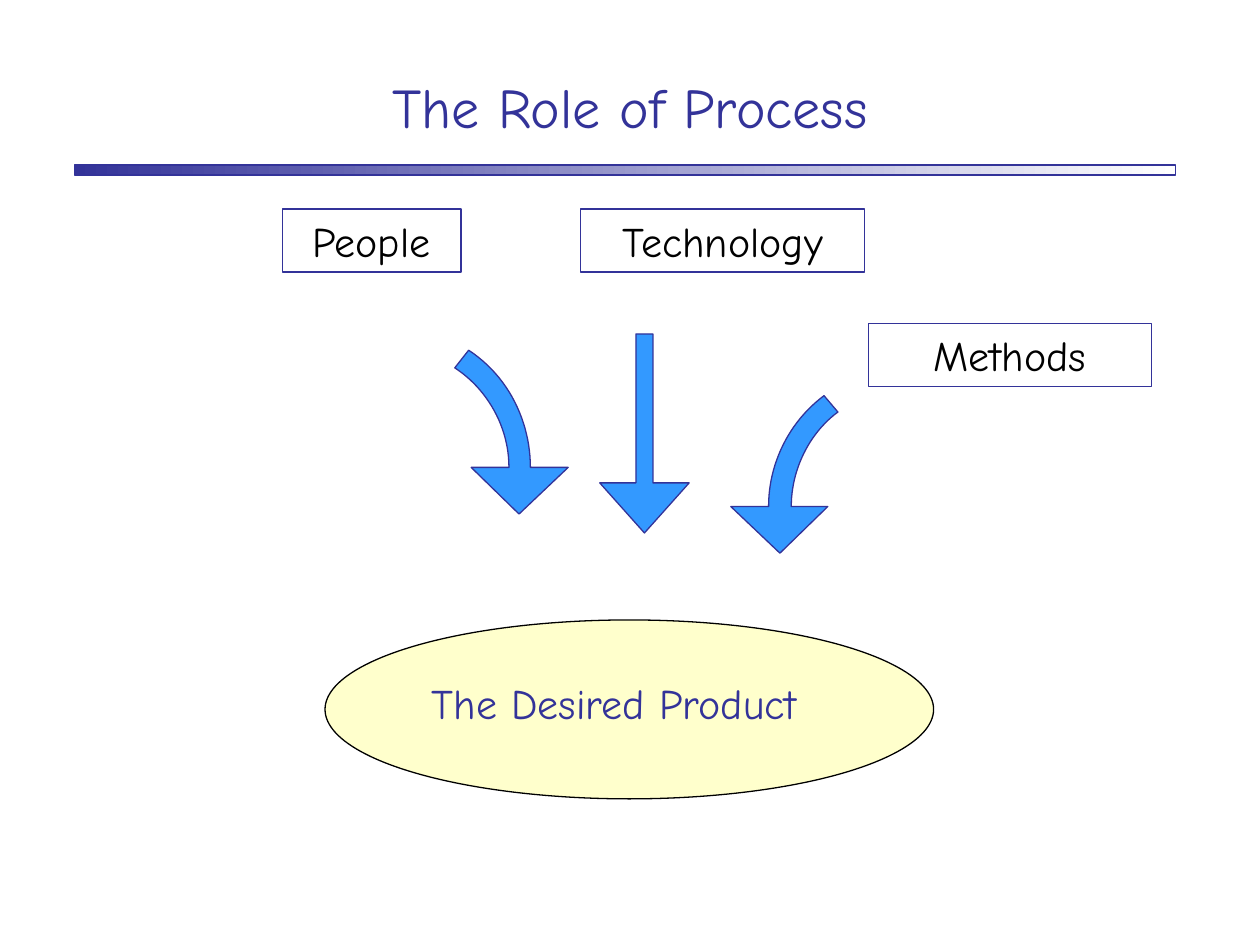
from dataclasses import dataclass

from pptx import Presentation
from pptx.dml.color import RGBColor
from pptx.enum.shapes import MSO_SHAPE
from pptx.enum.text import MSO_ANCHOR, MSO_AUTO_SIZE, PP_ALIGN
from pptx.util import Inches, Pt

RECT, OVAL, DOWN = MSO_SHAPE.RECTANGLE, MSO_SHAPE.OVAL, MSO_SHAPE.DOWN_ARROW
TOP, BOTTOM = MSO_ANCHOR.TOP, MSO_ANCHOR.BOTTOM
LEFT, CENTER = PP_ALIGN.LEFT, PP_ALIGN.CENTER
FIXED = MSO_AUTO_SIZE.NONE
WIDTH, HEIGHT = Inches(10), Inches(7.5)
COL, ROW = WIDTH / 100, HEIGHT / 75
FONT = "Comic Neue"
HUES = {"navy": "333399", "blue": "3399FF", "cream": "FFFFCC",
        "black": "000000", "white": "FFFFFF"}
STEPS = 24

Point = tuple[float, float]


@dataclass
class Area:
    """A place on the grid, in columns and rows."""
    x: float
    y: float
    wide: float
    high: float

    def place(self) -> tuple[int, int, int, int]:
        """Return left, top, width and height as lengths."""
        return (round(self.x * COL), round(self.y * ROW),
                round(self.wide * COL), round(self.high * ROW))


@dataclass
class Factor:
    """A named box that feeds the product."""
    name: str
    area: Area


@dataclass
class Bend:
    """A curved arrow: two cubic edges and the three corners of its head."""
    inner: list[Point]
    outer: list[Point]
    head: list[Point]


FACTORS = [
    Factor("People", Area(22.4, 16.6, 14.2, 5)),
    Factor("Technology", Area(46.1, 16.6, 22.5, 5)),
    Factor("Methods", Area(68.9, 25.7, 22.5, 5)),
]
BENDS = [
    Bend([(40.4, 37.1), (40.4, 33.9), (38.7, 30.9), (36.1, 29.2)],
         [(37.2, 27.8), (40.4, 29.9), (42.1, 33.5), (42.1, 37.1)],
         [(45.1, 37.1), (41.2, 40.8), (37.4, 37.1)]),
    Bend([(62.8, 40.2), (62.8, 37.3), (64.2, 34.4), (66.5, 32.7)],
         [(65.4, 31.4), (62.6, 33.5), (61, 36.8), (61, 40.2)],
         [(58, 40.2), (61.9, 43.9), (65.7, 40.2)]),
]


def tint(name: str) -> RGBColor:
    """Look up a colour by name."""
    return RGBColor.from_string(HUES[name])


def dress(shape, fill: str | None, line: str = "navy") -> None:
    """Set fill and outline and drop the shadow."""
    shape.shadow.inherit = False
    if fill:
        shape.fill.solid()
        shape.fill.fore_color.rgb = tint(fill)
    else:
        shape.fill.background()
    shape.line.color.rgb = tint(line)
    shape.line.width = Pt(0.75)


def write(shape, text: str, size: int, hue: str, align=CENTER, anchor=TOP) -> None:
    """Put one formatted line of text in a shape."""
    frame = shape.text_frame
    frame.text = text
    frame.word_wrap = True
    frame.auto_size = FIXED
    frame.vertical_anchor = anchor
    line = frame.paragraphs[0]
    line.alignment = align
    line.font.name, line.font.size = FONT, Pt(size)
    line.font.color.rgb = tint(hue)


def curve(ends: list[Point]) -> list[Point]:
    """Sample a cubic curve from its four control points."""
    def spot(t: float) -> Point:
        """Return the point at share t of the curve."""
        shares = ((1 - t) ** 3, 3 * t * (1 - t) ** 2, 3 * t * t * (1 - t), t ** 3)
        return (sum(s * p[0] for s, p in zip(shares, ends)),
                sum(s * p[1] for s, p in zip(shares, ends)))
    return [spot(i / STEPS) for i in range(STEPS + 1)]


def draw_bend(shapes, bend: Bend) -> None:
    """Draw a curved arrow."""
    dots = [(x * COL, y * ROW)
            for x, y in curve(bend.inner) + curve(bend.outer) + bend.head]
    pen = shapes.build_freeform(*dots[0], scale=1.0)
    pen.add_line_segments(dots[1:], close=True)
    dress(pen.convert_to_shape(), "blue")


def draw_rule(shapes) -> None:
    """Draw the fading bar under the title."""
    bar = shapes.add_shape(RECT, *Area(5.9, 13.1, 87.4, 0.8).place())
    dress(bar, None)
    bar.fill.gradient()
    bar.fill.gradient_angle = 0
    for stop, hue in zip(bar.fill.gradient_stops, ("navy", "white")):
        stop.color.rgb = tint(hue)


def draw_factor(shapes, factor: Factor) -> None:
    """Draw one labelled box."""
    box = shapes.add_shape(RECT, *factor.area.place())
    dress(box, None)
    write(box, factor.name, 24, "black")
    box.text_frame.paragraphs[0].space_before = Pt(15)


def main() -> None:
    """Build the slide and save it."""
    deck = Presentation()
    deck.slide_width, deck.slide_height = WIDTH, HEIGHT
    shapes = deck.slides.add_slide(deck.slide_layouts[5]).shapes

    title = shapes.title
    title.left, title.top, title.width, title.height = Area(6.7, 2.1, 86.6, 9.5).place()
    write(title, "The Role of Process", 32, "navy", anchor=BOTTOM)
    draw_rule(shapes)

    oval = shapes.add_shape(OVAL, *Area(25.8, 49.2, 48.3, 14.2).place())
    dress(oval, "cream", "black")
    label = shapes.add_textbox(*Area(33.3, 53.3, 37.5, 5).place())
    write(label, "The Desired Product", 24, "navy", LEFT)
    label.text_frame.paragraphs[0].space_before = Pt(15)

    for factor in FACTORS:
        draw_factor(shapes, factor)
    for bend in BENDS:
        draw_bend(shapes, bend)
    arrow = shapes.add_shape(DOWN, *Area(47.6, 26.5, 7.1, 15.8).place())
    arrow.adjustments[0], arrow.adjustments[1] = 0.19, 0.56
    dress(arrow, "blue")

    deck.save("out.pptx")


if __name__ == "__main__":
    main()
